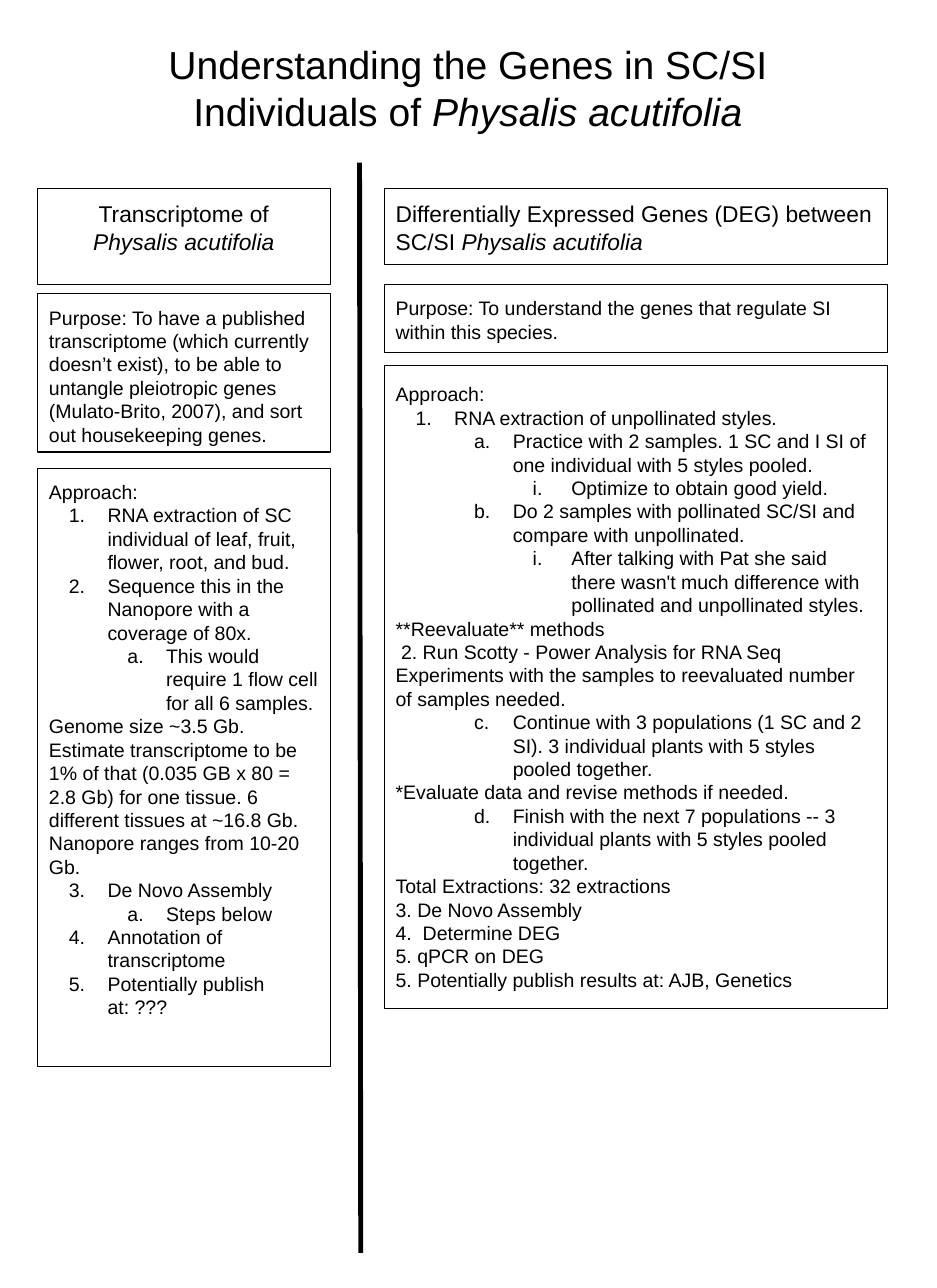
from dataclasses import dataclass

from lxml import etree
from pptx import Presentation
from pptx.dml.color import RGBColor
from pptx.enum.shapes import MSO_CONNECTOR, MSO_SHAPE
from pptx.enum.text import MSO_ANCHOR, MSO_AUTO_SIZE, PP_ALIGN
from pptx.oxml.ns import qn
from pptx.util import Inches, Pt

RECTANGLE = MSO_SHAPE.RECTANGLE
STRAIGHT = MSO_CONNECTOR.STRAIGHT
TOP, MIDDLE, BOTTOM = MSO_ANCHOR.TOP, MSO_ANCHOR.MIDDLE, MSO_ANCHOR.BOTTOM
LEFT, CENTER = PP_ALIGN.LEFT, PP_ALIGN.CENTER
NO_AUTOFIT = MSO_AUTO_SIZE.NONE
TITLE_ONLY = 5


@dataclass(frozen=True)
class Theme:
    font: str = "Arial"
    ink: RGBColor = RGBColor(0, 0, 0)
    title: int = 24
    heading: int = 14
    body: int = 12
    outline: float = 0.75
    divider: float = 3
    inset: float = 0.1
    step: float = 0.5
    hanging: float = 0.33
    schemes: tuple = ("arabicPeriod", "alphaLcPeriod", "romanLcPeriod")


@dataclass(frozen=True)
class Item:
    """A numbered list entry; start is the first number of its list."""
    text: str
    level: int = 0
    start: int = 1


@dataclass(frozen=True)
class Italic:
    text: str


class Poster:
    def __init__(self, slide, theme):
        self.slide = slide
        self.theme = theme

    def number(self, para, item):
        theme = self.theme
        para.level = item.level
        properties = para._p.get_or_add_pPr()
        properties.set("marL", str(Inches(theme.step * (item.level + 1))))
        properties.set("indent", str(-Inches(theme.hanging)))
        color = etree.SubElement(properties, qn("a:buClr"))
        etree.SubElement(color, qn("a:srgbClr"), val=str(theme.ink))
        etree.SubElement(properties, qn("a:buAutoNum"),
                         type=theme.schemes[item.level], startAt=str(item.start))

    def set_text(self, frame, paragraphs, size, anchor, align):
        """Each paragraph is a string, an Item, an Italic or a list of spans."""
        theme = self.theme
        frame.word_wrap = True
        frame.auto_size = NO_AUTOFIT
        frame.vertical_anchor = anchor
        frame.margin_left = frame.margin_right = Inches(theme.inset)
        frame.margin_top = frame.margin_bottom = Inches(theme.inset)
        for index, content in enumerate(paragraphs):
            para = frame.add_paragraph() if index else frame.paragraphs[0]
            para.alignment = align
            if isinstance(content, Item):
                self.number(para, content)
            para.font.name = theme.font
            para.font.size = Pt(size)
            para.font.color.rgb = theme.ink
            for part in content if isinstance(content, list) else [content]:
                span = para.add_run()
                span.text = part if isinstance(part, str) else part.text
                if isinstance(part, Italic):
                    span.font.italic = True

    def title(self, left, top, width, height, spans):
        title = self.slide.shapes.title
        title.left, title.top = Inches(left), Inches(top)
        title.width, title.height = Inches(width), Inches(height)
        self.set_text(title.text_frame, [spans], self.theme.title, BOTTOM, CENTER)

    def box(self, left, top, width, height, paragraphs, size, anchor=TOP, align=LEFT):
        box = self.slide.shapes.add_shape(
            RECTANGLE, Inches(left), Inches(top), Inches(width), Inches(height))
        box.shadow.inherit = False
        box.fill.background()
        box.line.color.rgb = self.theme.ink
        box.line.width = Pt(self.theme.outline)
        self.set_text(box.text_frame, paragraphs, size, anchor, align)

    def divider(self, start_x, start_y, end_x, end_y):
        line = self.slide.shapes.add_connector(
            STRAIGHT, Inches(start_x), Inches(start_y), Inches(end_x), Inches(end_y))
        line.line.color.rgb = self.theme.ink
        line.line.width = Pt(self.theme.divider)
        etree.SubElement(line._element.spPr, qn("a:effectLst"))


SPECIES = Italic("Physalis acutifolia")

TRANSCRIPTOME_PURPOSE = (
    "Purpose: To have a published transcriptome (which currently doesn’t exist), "
    "to be able to untangle pleiotropic genes (Mulato-Brito, 2007), "
    "and sort out housekeeping genes.")

TRANSCRIPTOME_APPROACH = [
    "Approach:",
    Item("RNA extraction of SC individual of leaf, fruit, flower, root, and bud."),
    Item("Sequence this in the Nanopore with a coverage of 80x."),
    Item("This would require 1 flow cell for all 6 samples.", level=1),
    "Genome size ~3.5 Gb. Estimate transcriptome to be 1% of that "
    "(0.035 GB x 80 = 2.8 Gb) for one tissue. 6 different tissues at ~16.8 Gb. "
    "Nanopore ranges from 10-20 Gb.",
    Item("De Novo Assembly", start=3),
    Item("Steps below", level=1),
    Item("Annotation of transcriptome", start=3),
    Item("Potentially publish at: ???", start=3),
]

EXPRESSION_HEADING = ["Differentially Expressed Genes (DEG) between SC/SI ", SPECIES]

EXPRESSION_PURPOSE = (
    "Purpose: To understand the genes that regulate SI within this species.")

EXPRESSION_APPROACH = [
    "Approach:",
    Item("RNA extraction of unpollinated styles."),
    Item("Practice with 2 samples. 1 SC and I SI of one individual "
         "with 5 styles pooled.", level=1),
    Item("Optimize to obtain good yield.", level=2),
    Item("Do 2 samples with pollinated SC/SI and compare with unpollinated.", level=1),
    Item("After talking with Pat she said there wasn't much difference with "
         "pollinated and unpollinated styles.", level=2),
    "**Reevaluate** methods",
    " 2. Run Scotty - Power Analysis for RNA Seq Experiments with the samples "
    "to reevaluated number of samples needed.",
    Item("Continue with 3 populations (1 SC and 2 SI). 3 individual plants "
         "with 5 styles pooled together.", level=1, start=3),
    "*Evaluate data and revise methods if needed.",
    Item("Finish with the next 7 populations -- 3 individual plants "
         "with 5 styles pooled together.", level=1, start=4),
    "Total Extractions: 32 extractions",
    "3. De Novo Assembly",
    "4.  Determine DEG",
    "5. qPCR on DEG",
    "5. Potentially publish results at: AJB, Genetics",
]


def main():
    deck = Presentation()
    deck.slide_width, deck.slide_height = Inches(8), Inches(11)
    page = deck.slides.add_slide(deck.slide_layouts[TITLE_ONLY])
    theme = Theme()
    poster = Poster(page, theme)

    # Title
    poster.title(0.86, 0.23, 6.27, 1.02,
                 ["Understanding the Genes in SC/SI Individuals of ", SPECIES])

    # Left column: transcriptome
    left, width = 0.32, 2.5
    poster.box(left, 1.61, width, 0.82, ["Transcriptome of", SPECIES],
               theme.heading, align=CENTER)
    poster.box(left, 2.51, width, 1.35, [TRANSCRIPTOME_PURPOSE], theme.body)
    poster.box(left, 4, width, 5.11, TRANSCRIPTOME_APPROACH, theme.body)

    # Column divider
    poster.divider(3.07, 1.39, 3.08, 10.7)

    # Right column: differential expression
    left, width = 3.28, 4.3
    poster.box(left, 1.61, width, 0.65, [EXPRESSION_HEADING], theme.heading)
    poster.box(left, 2.43, width, 0.58, [EXPRESSION_PURPOSE], theme.body)
    poster.box(left, 3.12, width, 5.49, EXPRESSION_APPROACH, theme.body, anchor=MIDDLE)

    deck.save("out.pptx")


if __name__ == "__main__":
    main()
